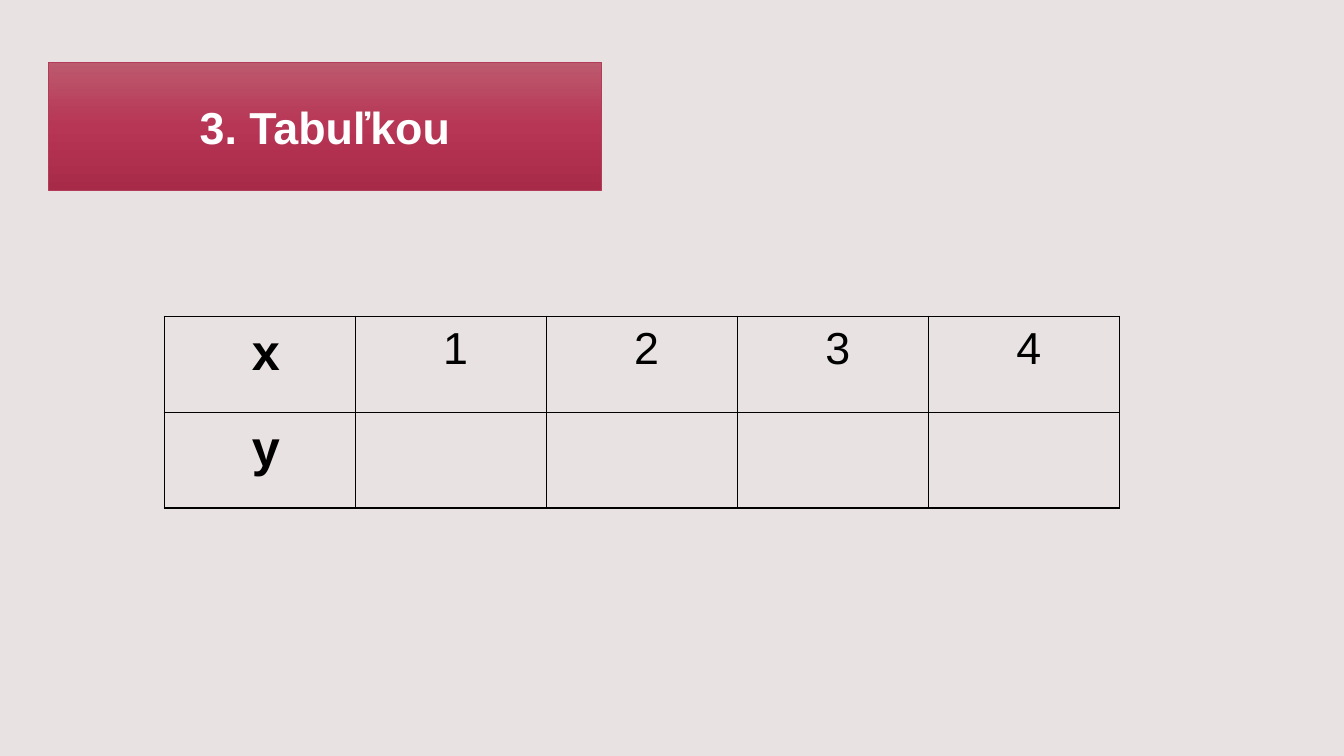
import copy

import pptx
import pptx.dml.color
import pptx.enum.shapes
import pptx.enum.text
import pptx.oxml
import pptx.oxml.ns
import pptx.util
from pptx.util import Cm, Pt

HUES = {
    "back": "E8E3E2",
    "ink": "000000",
    "text": "FFFFFF",
    "edge": "B13B58",
    "top": "BC5A6E",
    "mid": "B73555",
    "low": "A82A49",
}
FONT = "Arial"
ROWS = [["x", "1", "2", "3", "4"], ["y", "", "", "", ""]]


def hue(name):
    return pptx.dml.color.RGBColor.from_string(HUES[name])


def style(para, size, bold, name):
    font = para.font
    font.name, font.size, font.bold = FONT, Pt(size), bold
    font.color.rgb = hue(name)


def shade(shape, names):
    """Fill a shape with an even gradient from top to bottom."""
    fill = shape.fill
    fill.gradient()
    fill.gradient_angle = 270
    stops = shape._element.spPr.find(".//" + pptx.oxml.ns.qn("a:gsLst"))
    while len(stops) < len(names):
        stops.append(copy.deepcopy(stops[0]))
    for i, (stop, name) in enumerate(zip(fill.gradient_stops, names)):
        stop.position = i / (len(names) - 1)
        stop.color.rgb = hue(name)


def banner(slide, text, left, top, width, height):
    box = slide.shapes.add_shape(
        pptx.enum.shapes.MSO_SHAPE.RECTANGLE, left, top, width, height)
    box.shadow.inherit = False
    shade(box, ["top", "mid", "low"])
    box.line.color.rgb = hue("edge")
    box.line.width = Pt(0.5)
    frame = box.text_frame
    frame.vertical_anchor = pptx.enum.text.MSO_ANCHOR.MIDDLE
    para = frame.paragraphs[0]
    para.text = text
    para.alignment = pptx.enum.text.PP_ALIGN.CENTER
    style(para, 32, True, "text")


def border(cell):
    """Draw a thin line on all four sides of a cell."""
    props = cell._tc.get_or_add_tcPr()
    for i, side in enumerate(("lnL", "lnR", "lnT", "lnB")):
        props.insert(i, pptx.oxml.parse_xml(
            f'<a:{side} {pptx.oxml.ns.nsdecls("a")} w="{Pt(1)}"><a:solidFill>'
            f'<a:srgbClr val="{HUES["ink"]}"/></a:solidFill></a:{side}>'))


def write(cell, text, head):
    para = cell.text_frame.paragraphs[0]
    para.text = text
    para.alignment = pptx.enum.text.PP_ALIGN.JUSTIFY
    props = para._p.get_or_add_pPr()
    props.set("marL", str(Cm(1.27)))
    props.set("indent", str(Cm(0.76)))
    props.append(pptx.oxml.parse_xml(
        f'<a:tabLst {pptx.oxml.ns.nsdecls("a")}>'
        f'<a:tab pos="{Cm(1.25)}" algn="l"/></a:tabLst>'))
    para.line_spacing = 1.15
    if head:
        para.space_before = Pt(3)
    style(para, 36 if head else 32, head, "ink")


def grid(slide, rows, left, top, width, height):
    table = slide.shapes.add_table(
        len(rows), len(rows[0]), left, top, width, height).table
    table.first_row = table.horz_banding = False
    for r, row in enumerate(rows):
        for c, text in enumerate(row):
            cell = table.cell(r, c)
            cell.margin_left = cell.margin_right = Cm(0.18)
            cell.margin_top = cell.margin_bottom = 0
            cell.fill.background()
            border(cell)
            if text:
                write(cell, text, c == 0)


def main():
    deck = pptx.Presentation()
    deck.slide_width, deck.slide_height = Cm(33.87), Cm(19.05)
    slide = deck.slides.add_slide(deck.slide_layouts[6])
    slide.background.fill.solid()
    slide.background.fill.fore_color.rgb = hue("back")
    grid(slide, ROWS, Cm(4.14), Cm(7.97), Cm(24.08), Cm(4.83))
    banner(slide, "3. Tabuľkou", Cm(1.22), Cm(1.57), Cm(13.94), Cm(3.23))
    deck.save("out.pptx")


if __name__ == "__main__":
    main()
